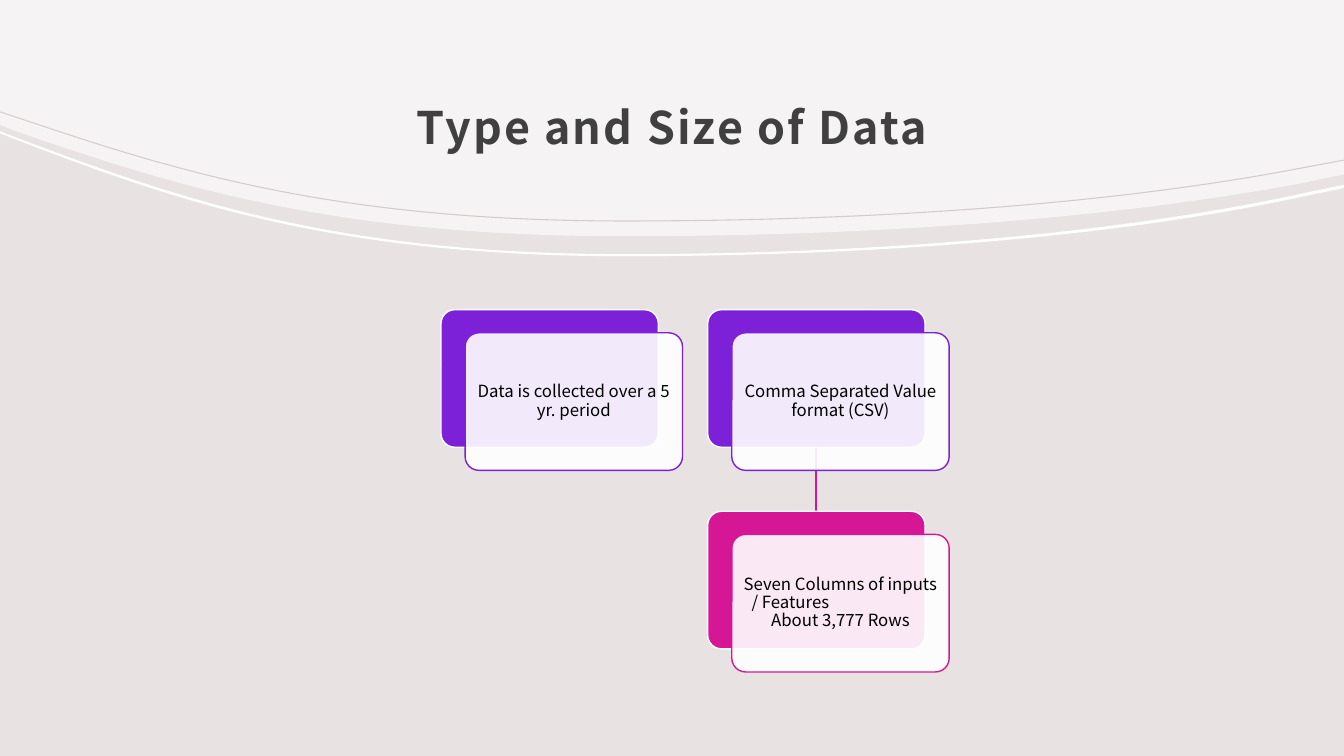
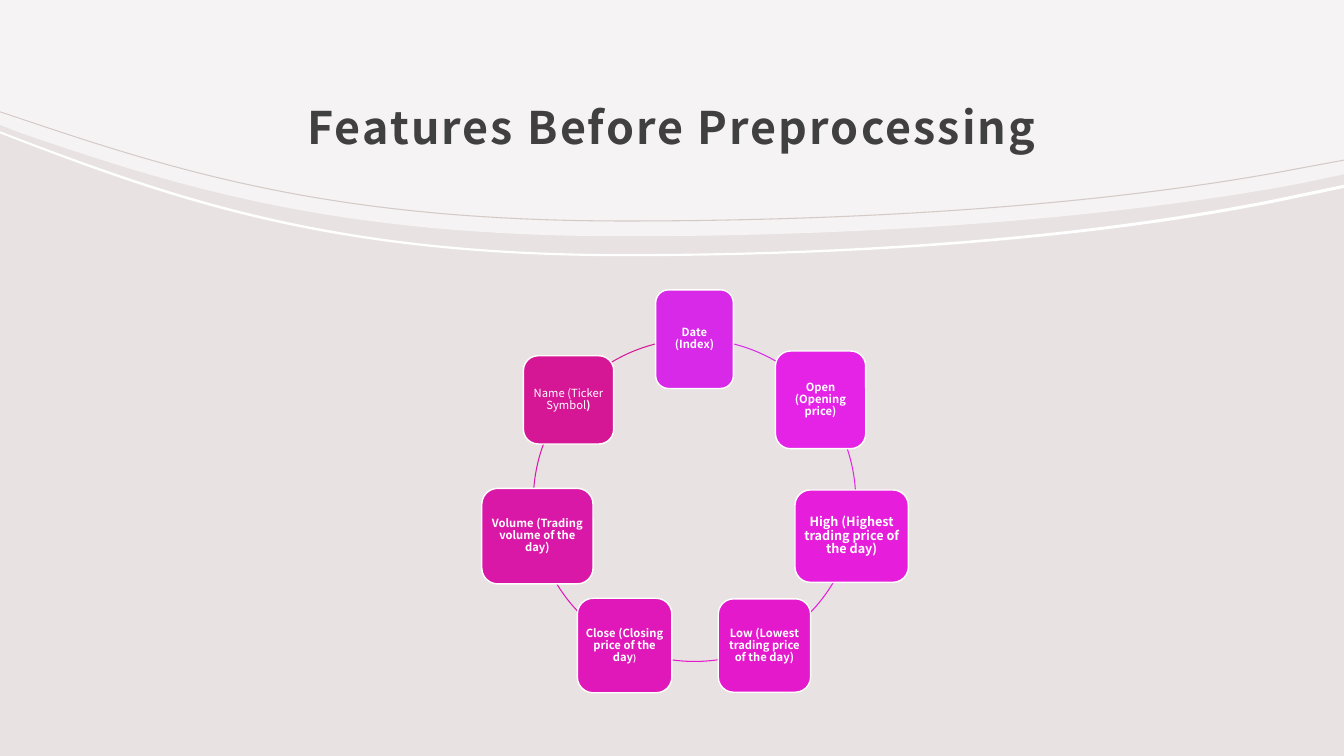
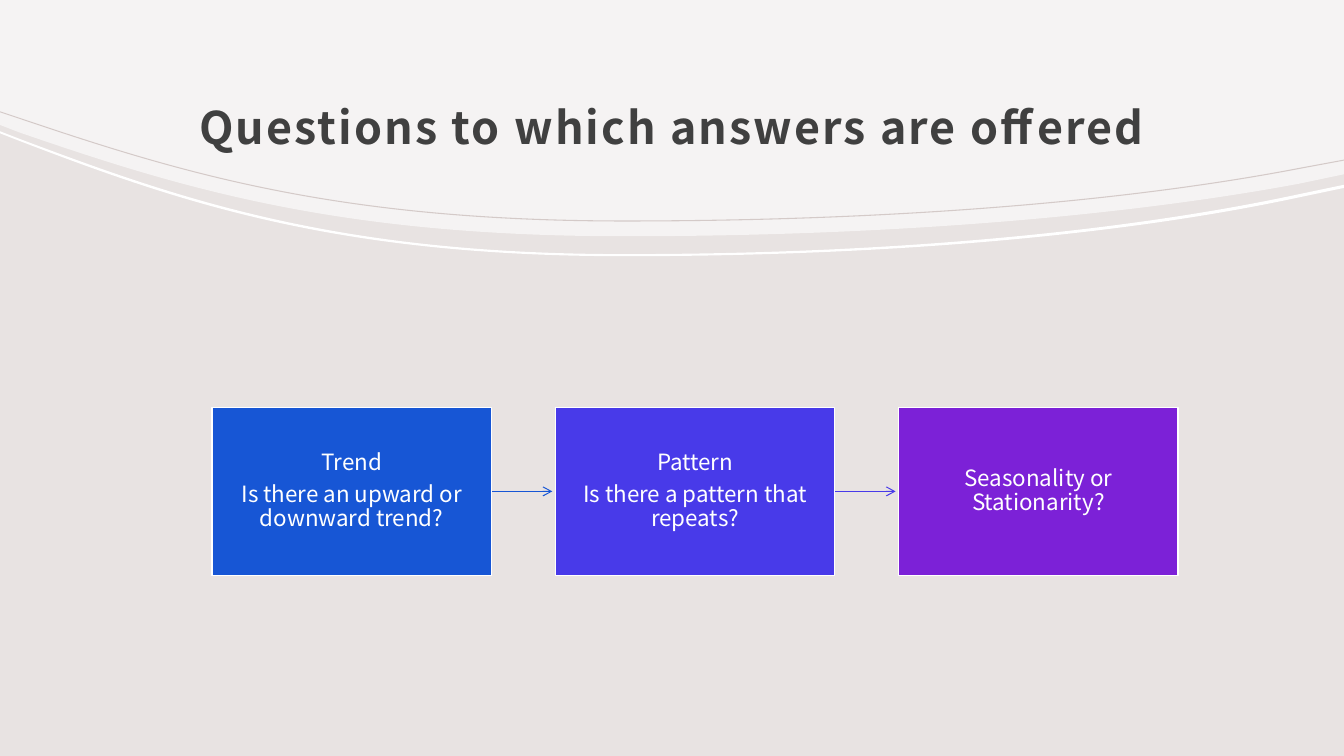
from dataclasses import dataclass
from math import cos, radians, sin

from lxml import etree
from pptx import Presentation
from pptx.dml.color import RGBColor
from pptx.enum.shapes import MSO_CONNECTOR, MSO_SHAPE
from pptx.enum.text import MSO_ANCHOR, PP_ALIGN
from pptx.oxml.ns import qn
from pptx.util import Pt

RECT = MSO_SHAPE.RECTANGLE
ROUNDED = MSO_SHAPE.ROUNDED_RECTANGLE
ARC = MSO_SHAPE.ARC
STRAIGHT = MSO_CONNECTOR.STRAIGHT
CENTER = PP_ALIGN.CENTER
LEFT = PP_ALIGN.LEFT
MIDDLE = MSO_ANCHOR.MIDDLE

EMU_PER_PX = 9525
SLIDE_W, SLIDE_H = 1280, 720


@dataclass(frozen=True)
class Theme:
    font: str = "Noto Sans CJK JP"
    background: str = "E8E3E2"
    white: str = "FFFFFF"
    hairline: str = "D4CAC8"
    title: str = "404040"
    body: str = "000000"
    blue: str = "1756D5"
    indigo: str = "483AE9"
    violet: str = "7C21D7"
    pink: str = "D51796"
    title_size: int = 32
    step_size: int = 16
    card_size: int = 12
    feature_size: int = 8
    feature_large: int = 9
    feature_small: int = 6
    border: float = 1
    thin: float = 0.75
    leading: float = 0.9
    paragraph_gap: float = 0.35


THEME = Theme()

WAVE_X = (0, 18, 172, 320, 595, 840, 1065, 1237, 1280)
WAVE_CURVES = (2, 5)
VEIL_BOTTOM = (119, 126, 179, 225, 225, 225, 207, 175, 166)
WHITE_TOP = (125, 132, 190, 242, 242, 242, 222, 185, 176)
WHITE_BOTTOM = (127, 134, 193, 244, 244, 244, 225, 188, 179)
HAIRLINE_TOP = (106, 112, 164, 210, 210, 210, 193, 160, 152)
HAIRLINE_BOTTOM = (107, 113, 165, 211, 211, 211, 194, 161, 153)

FEATURES = (
    ("Date (Index)", 74, 94, "D729E7", THEME.feature_size, True, None),
    ("Open (Opening price)", 86, 93, "E423E7", THEME.feature_size, True, None),
    ("High (Highest trading price of the day)", 108, 88, "E61EDB",
     THEME.feature_large, True, None),
    ("Low (Lowest trading price of the day)", 88, 89, "E519CC",
     THEME.feature_size, True, None),
    ("Close (Closing price of the day", 90, 90, "E018B9",
     THEME.feature_size, True, THEME.feature_small),
    ("Volume (Trading volume of the day)", 106, 91, "DA18A7",
     THEME.feature_size, True, None),
    ("Name (Ticker Symbol", 86, 84, THEME.pink,
     THEME.feature_size, False, THEME.feature_size),
)

QUESTIONS = (
    (("Trend", "Is there an upward or downward trend?"), THEME.blue),
    (("Pattern", "Is there a pattern that repeats?"), THEME.indigo),
    (("Seasonality or Stationarity?",), THEME.violet),
)


def px(length):
    return round(length * EMU_PER_PX)


def rgb(color):
    return RGBColor.from_string(color)


def paint(shape, fill=None, line=None, width=THEME.border, opacity=100):
    shape.shadow.inherit = False
    if fill:
        shape.fill.solid()
        shape.fill.fore_color.rgb = rgb(fill)
        if opacity < 100:
            tint = shape.fill._xPr.find(qn("a:solidFill"))[0]
            etree.SubElement(tint, qn("a:alpha")).set("val", str(opacity * 1000))
    else:
        shape.fill.background()
    if line:
        shape.line.color.rgb = rgb(line)
        shape.line.width = Pt(width)
    else:
        shape.line.fill.background()


def add_box(slide, preset, box, **look):
    shape = slide.shapes.add_shape(preset, *map(px, box))
    paint(shape, **look)
    return shape


def add_line(slide, start, end, color, width, arrow=False):
    line = slide.shapes.add_connector(STRAIGHT, *map(px, start + end))
    line.line.color.rgb = rgb(color)
    line.line.width = Pt(width)
    if arrow:
        stroke = line.line._get_or_add_ln()
        etree.SubElement(stroke, qn("a:tailEnd")).set("type", "arrow")
    etree.SubElement(line._element.spPr, qn("a:effectLst"))


def style_run(run, size, color, bold=False):
    run.font.name = THEME.font
    run.font.size = Pt(size)
    run.font.bold = bold
    run.font.color.rgb = rgb(color)


def write(shape, lines, size, color, insets, bold=False,
          leading=THEME.leading, gap=0):
    frame = shape.text_frame
    frame.word_wrap = True
    frame.vertical_anchor = MIDDLE
    (frame.margin_left, frame.margin_top,
     frame.margin_right, frame.margin_bottom) = map(px, insets)
    frame.text = "\n".join(lines)
    for index, paragraph in enumerate(frame.paragraphs):
        paragraph.alignment = CENTER
        paragraph.line_spacing = leading
        if index and gap:
            paragraph.space_before = Pt(size * gap)
        for run in paragraph.runs:
            style_run(run, size, color, bold)
    return frame.paragraphs


def bend(shape, starts):
    outline = next(shape._element.iter(qn("a:path")))
    segments = list(outline)
    for start in starts:
        curve = etree.Element(qn("a:cubicBezTo"))
        segments[start].addprevious(curve)
        for segment in segments[start:start + 3]:
            curve.append(segment[0])
            outline.remove(segment)


def add_band(slide, bottom, color, top=None, opacity=100):
    upper = list(zip(WAVE_X, top)) if top else [(0, 0), (SLIDE_W, 0)]
    lower = list(zip(WAVE_X, bottom))[::-1]
    outline = [(px(x), px(y)) for x, y in upper + lower]
    builder = slide.shapes.build_freeform(*outline[0], scale=1.0)
    builder.add_line_segments(outline[1:], close=True)
    band = builder.convert_to_shape()
    upper_curves = WAVE_CURVES if top else ()
    bend(band, [*upper_curves, *(len(upper) + start for start in WAVE_CURVES)])
    paint(band, fill=color, opacity=opacity)


def add_page(deck, title):
    slide = deck.slides.add_slide(deck.slide_layouts[6])
    slide.background.fill.solid()
    slide.background.fill.fore_color.rgb = rgb(THEME.background)
    add_band(slide, VEIL_BOTTOM, THEME.white, opacity=60)
    add_band(slide, WHITE_BOTTOM, THEME.white, top=WHITE_TOP)
    heading = slide.shapes.add_textbox(*map(px, (128, 57, 1024, 109)))
    paragraphs = write(heading, [title], THEME.title_size, THEME.title,
                       (12, 12, 12, 10), bold=True, leading=1.3)
    paragraphs[0].runs[0].font._element.set("spc", "150")
    add_band(slide, HAIRLINE_BOTTOM, THEME.hairline, top=HAIRLINE_TOP)
    return slide


def add_layered_card(slide, box, lines, color):
    left, top, width, height = box
    back = add_box(slide, ROUNDED, box, fill=color, line=THEME.white)
    front = add_box(slide, ROUNDED, (left + 23, top + 22, width, height),
                    fill=THEME.white, line=color, opacity=90)
    for card in (back, front):
        card.adjustments[0] = 0.1
    return write(front, lines, THEME.card_size, THEME.body, (5, 5, 5, 5))


def add_data_tree(slide, box):
    left, top, width, height = box
    card_w, card_h = 207, 131
    right = left + width - card_w - 23
    lower = top + height - card_h - 22
    stem = right + card_w // 2
    add_line(slide, (stem, top + card_h), (stem, lower), THEME.pink, THEME.border)
    add_layered_card(slide, (left, top, card_w, card_h),
                     ["Data is collected over a 5 yr. period"], THEME.violet)
    add_layered_card(slide, (right, top, card_w, card_h),
                     ["Comma Separated Value format (CSV)"], THEME.violet)
    contents = add_layered_card(
        slide, (right, lower, card_w, card_h),
        ["Seven Columns of inputs", "/ Features", "About 3,777 Rows"], THEME.pink)
    contents[1].alignment = LEFT
    contents[1]._p.get_or_add_pPr().set("marL", str(px(10)))


def add_feature_ring(slide, box):
    left, top, size, _ = box
    radius = size / 2
    sweep = 360 / len(FEATURES)
    angles = [270 + index * sweep for index in range(len(FEATURES))]
    for angle, feature in zip(angles, FEATURES):
        arc = add_box(slide, ARC, box, line=feature[3], width=THEME.thin)
        arc.adjustments[0] = angle % 360 * 0.6
        arc.adjustments[1] = (angle + sweep) % 360 * 0.6
    for angle, feature in zip(angles, FEATURES):
        label, width, height, color, type_size, bold, closing_size = feature
        x = left + radius + radius * cos(radians(angle)) - width / 2
        y = top + radius + radius * sin(radians(angle)) - height / 2
        card = add_box(slide, ROUNDED, (x, y, width, height),
                       fill=color, line=THEME.white)
        paragraphs = write(card, [label], type_size, THEME.white, (3, 3, 3, 3), bold)
        if closing_size:
            closing = paragraphs[0].add_run()
            closing.text = ")"
            style_run(closing, closing_size, THEME.white, True)


def add_question_flow(slide, box):
    left, top, width, height = box
    card_w = 266
    pitch = (width - card_w) / (len(QUESTIONS) - 1)
    middle = top + height / 2
    for index, (lines, color) in enumerate(QUESTIONS):
        x = left + index * pitch
        if index < len(QUESTIONS) - 1:
            add_line(slide, (x + card_w, middle), (x + pitch - 3, middle),
                     color, THEME.thin, arrow=True)
        card = add_box(slide, RECT, (x, top, card_w, height),
                       fill=color, line=THEME.white)
        write(card, lines, THEME.step_size, THEME.white, (13, 13, 13, 13),
              gap=THEME.paragraph_gap)


def main():
    deck = Presentation()
    deck.slide_width, deck.slide_height = px(SLIDE_W), px(SLIDE_H)
    add_data_tree(add_page(deck, "Type and Size of Data"), (420, 295, 484, 345))
    add_feature_ring(add_page(deck, "Features Before Preprocessing"),
                     (508, 323, 307, 307))
    add_question_flow(add_page(deck, "Questions to which answers are offered"),
                      (202, 388, 920, 160))
    deck.save("out.pptx")


if __name__ == "__main__":
    main()
